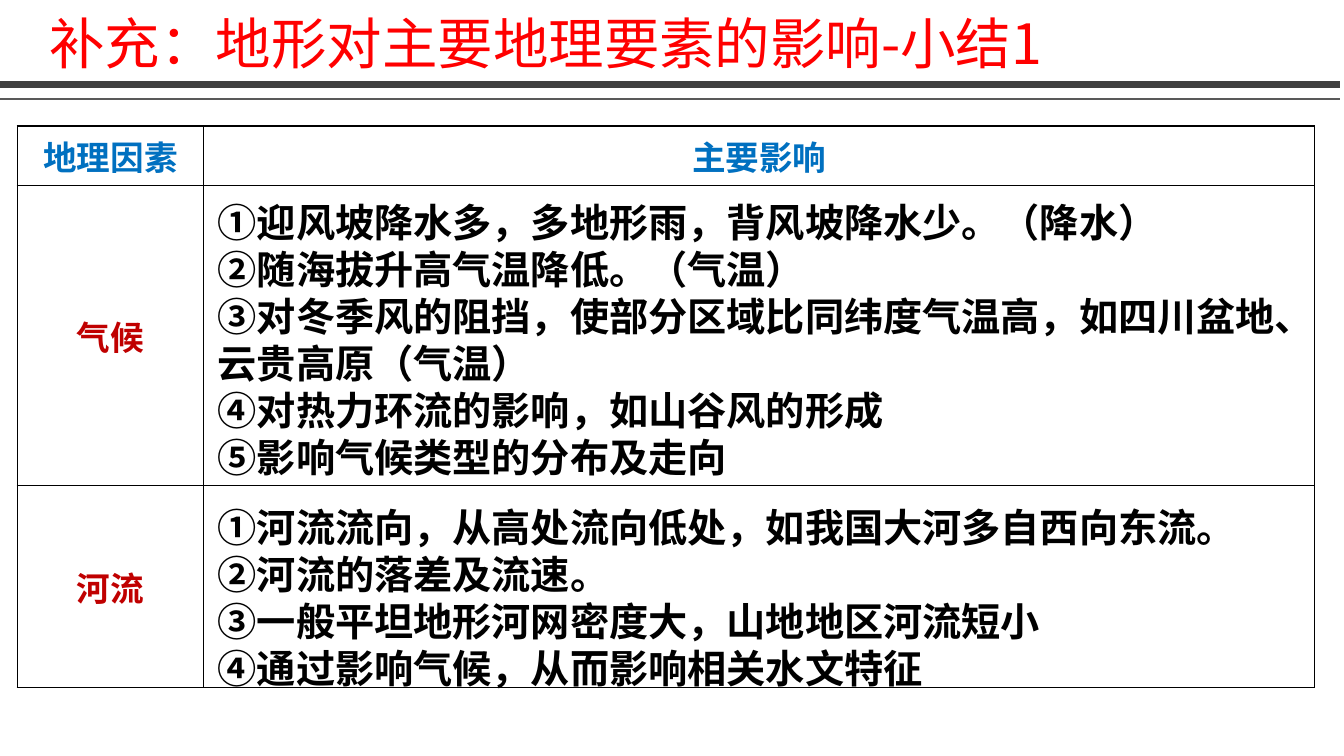
from dataclasses import dataclass

from lxml import etree
from pptx import Presentation
from pptx.dml.color import RGBColor
from pptx.enum.shapes import MSO_CONNECTOR
from pptx.enum.text import MSO_ANCHOR, MSO_AUTO_SIZE, PP_ALIGN
from pptx.oxml.ns import qn
from pptx.slide import Slide
from pptx.util import Inches, Length, Pt

STRAIGHT = MSO_CONNECTOR.STRAIGHT
MIDDLE, TOP = MSO_ANCHOR.MIDDLE, MSO_ANCHOR.TOP
LEFT, CENTER = PP_ALIGN.LEFT, PP_ALIGN.CENTER
NO_FIT = MSO_AUTO_SIZE.NONE
TWO_CONTENT_LAYOUT = 3
SLIDE_WIDTH, SLIDE_HEIGHT = Inches(13.33), Inches(7.5)


@dataclass(frozen=True)
class Theme:
    font: str = "Noto Sans CJK SC"
    title: str = "FF0000"
    heading: str = "0070C0"
    factor: str = "C00000"
    ink: str = "000000"
    title_size: float = 39.6
    label_size: float = 24
    effect_size: float = 28
    effect_pitch: float = 33.6
    border: float = 1


@dataclass(frozen=True)
class Area:
    """Place and size in percent of the slide."""
    left: float
    top: float
    width: float
    height: float


@dataclass(frozen=True)
class Rule:
    top: float
    color: str
    weight: float


@dataclass(frozen=True)
class Factor:
    name: str
    row_height: float
    area: Area
    effects: tuple[str, ...]


THEME = Theme()
TITLE = "补充：地形对主要地理要素的影响-小结1"
TITLE_AREA = Area(2.93, 1.47, 82.87, 9.47)
RULES = (Rule(13.07, "595959", 1.5), Rule(11.2, "404040", 4.5))
RULE_LENGTH = 99.7
HEADINGS = ("地理因素", "主要影响")
HEADING_HEIGHT = 7.87
COLUMNS = (13.88, 82.67)
TABLE_LEFT, TABLE_TOP = 1.28, 16.67
FACTORS = (
    Factor("气候", 39.73, Area(15.45, 25.07, 81.4, 47.6), (
        "①迎风坡降水多，多地形雨，背风坡降水少。（降水）",
        "②随海拔升高气温降低。（气温）",
        "③对冬季风的阻挡，使部分区域比同纬度气温高，如四川盆地、云贵高原（气温）",
        "④对热力环流的影响，如山谷风的形成",
        "⑤影响气候类型的分布及走向",
    )),
    Factor("河流", 26.67, Area(15.45, 65.33, 78.47, 26.53), (
        "①河流流向，从高处流向低处，如我国大河多自西向东流。",
        "②河流的落差及流速。",
        "③一般平坦地形河网密度大，山地地区河流短小",
        "④通过影响气候，从而影响相关水文特征",
    )),
)


def across(percent: float) -> Length:
    return Length(round(SLIDE_WIDTH * percent / 100))


def down(percent: float) -> Length:
    return Length(round(SLIDE_HEIGHT * percent / 100))


def place(shape, area: Area) -> None:
    shape.left, shape.top = across(area.left), down(area.top)
    shape.width, shape.height = across(area.width), down(area.height)


def write(paragraph, text: str, size: float, color: str, bold: bool) -> None:
    run = paragraph.add_run()
    run.text = text
    run.font.name = THEME.font
    run.font.size = Pt(size)
    run.font.bold = bold
    run.font.color.rgb = RGBColor.from_string(color)
    east_asian = etree.SubElement(run.font._element, qn("a:ea"))
    east_asian.set("typeface", THEME.font)


def draw_title(slide: Slide) -> None:
    title = slide.shapes.title
    place(title, TITLE_AREA)
    frame = title.text_frame
    frame.word_wrap, frame.auto_size = True, NO_FIT
    frame.vertical_anchor = MIDDLE
    paragraph = frame.paragraphs[0]
    paragraph.alignment, paragraph.line_spacing = LEFT, 0.9
    write(paragraph, TITLE, THEME.title_size, THEME.title, False)


def draw_rule(slide: Slide, rule: Rule) -> None:
    y = down(rule.top)
    line = slide.shapes.add_connector(STRAIGHT, 0, y, across(RULE_LENGTH), y)
    line.line.color.rgb = RGBColor.from_string(rule.color)
    line.line.width = Pt(rule.weight)
    etree.SubElement(line._element.spPr, qn("a:effectLst"))


def add_borders(cell) -> None:
    properties = cell._tc.get_or_add_tcPr()
    for side in ("a:lnL", "a:lnR", "a:lnT", "a:lnB"):
        edge = etree.SubElement(properties, qn(side), w=str(Pt(THEME.border)))
        fill = etree.SubElement(edge, qn("a:solidFill"))
        etree.SubElement(fill, qn("a:srgbClr"), val=THEME.ink)


def draw_table(slide: Slide) -> None:
    heights = (HEADING_HEIGHT, *(factor.row_height for factor in FACTORS))
    table = slide.shapes.add_table(
        len(heights), len(COLUMNS), across(TABLE_LEFT), down(TABLE_TOP),
        across(sum(COLUMNS)), down(sum(heights))).table
    table.first_row = table.horz_banding = False
    for column, width in zip(table.columns, COLUMNS):
        column.width = across(width)
    for row, height in zip(table.rows, heights):
        row.height = down(height)
    for cell in table.iter_cells():
        add_borders(cell)
        cell.fill.background()
        cell.vertical_anchor = MIDDLE
        cell.margin_left = cell.margin_right = Inches(0.02)
        cell.margin_top = cell.margin_bottom = 0
    labels = [(0, column, text, THEME.heading) for column, text in enumerate(HEADINGS)]
    labels += [(row, 0, factor.name, THEME.factor) for row, factor in enumerate(FACTORS, 1)]
    for row, column, text, color in labels:
        paragraph = table.cell(row, column).text_frame.paragraphs[0]
        paragraph.alignment = CENTER
        write(paragraph, text, THEME.label_size, color, True)


def draw_effects(body, factor: Factor) -> None:
    place(body, factor.area)
    frame = body.text_frame
    frame.word_wrap, frame.auto_size = True, NO_FIT
    frame.vertical_anchor = TOP
    frame.margin_top = Inches(0.09)
    for index, effect in enumerate(factor.effects):
        paragraph = frame.add_paragraph() if index else frame.paragraphs[0]
        properties = paragraph._p.get_or_add_pPr()
        for name, value in (("marL", "0"), ("indent", "0"), ("hangingPunct", "1")):
            properties.set(name, value)
        etree.SubElement(properties, qn("a:buNone"))
        paragraph.alignment = LEFT
        paragraph.space_before = Pt(0)
        paragraph.line_spacing = Pt(THEME.effect_pitch)
        write(paragraph, effect, THEME.effect_size, THEME.ink, True)


def main() -> None:
    deck = Presentation()
    deck.slide_width, deck.slide_height = SLIDE_WIDTH, SLIDE_HEIGHT
    slide = deck.slides.add_slide(deck.slide_layouts[TWO_CONTENT_LAYOUT])
    for surplus in list(slide.placeholders)[len(FACTORS) + 1:]:
        surplus._element.getparent().remove(surplus._element)
    draw_title(slide)
    for rule in RULES:
        draw_rule(slide, rule)
    draw_table(slide)
    for body, factor in zip(list(slide.placeholders)[1:], FACTORS):
        draw_effects(body, factor)
    deck.save("out.pptx")


if __name__ == "__main__":
    main()
